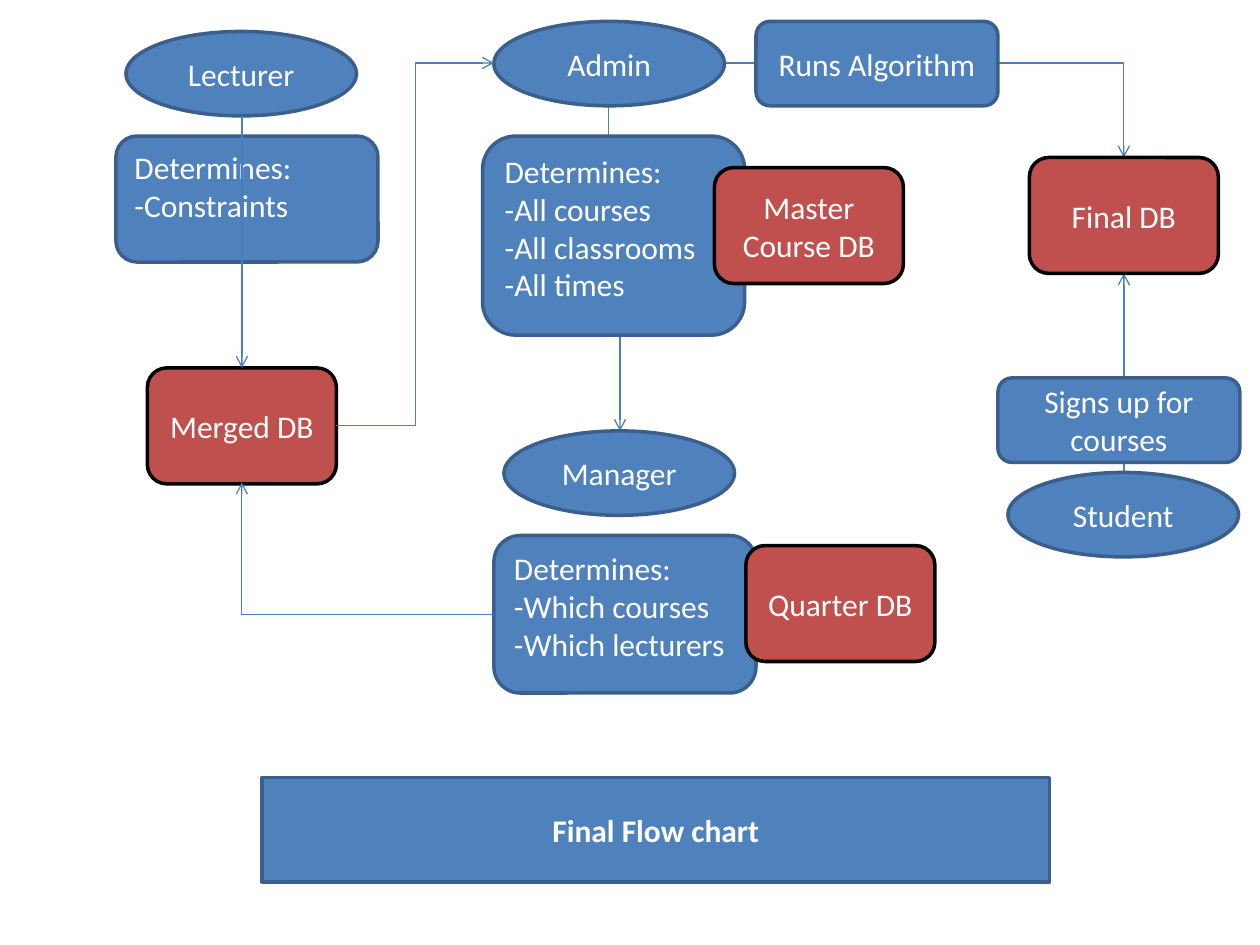
from dataclasses import dataclass

from lxml import etree
from pptx import Presentation
from pptx import util as u
from pptx.dml.color import RGBColor
from pptx.enum import shapes, text
from pptx.oxml.ns import qn


@dataclass(frozen=True)
class Theme:
    font: str = "Calibri"
    text_size: float = 18
    outline: float = 2
    link_width: float = 0.75
    white: str = "FFFFFF"
    blue: str = "4F81BD"
    blue_edge: str = "3A5F8C"
    red: str = "C0504D"
    black: str = "000000"
    link: str = "4B7EBC"


@dataclass(frozen=True)
class Kind:
    geometry: shapes.MSO_SHAPE
    fill: str
    edge: str
    centred: bool = True


@dataclass(frozen=True)
class Node:
    kind: Kind
    left: float
    top: float
    width: float
    height: float
    lines: tuple[str, ...]


@dataclass(frozen=True)
class Link:
    start: tuple[float, float]
    end: tuple[float, float]
    route: str = "straight"


THEME = Theme()
ROUNDED = shapes.MSO_SHAPE.ROUNDED_RECTANGLE
ACTOR = Kind(shapes.MSO_SHAPE.OVAL, THEME.blue, THEME.blue_edge)
TASK = Kind(ROUNDED, THEME.blue, THEME.blue_edge)
DECISION = Kind(ROUNDED, THEME.blue, THEME.blue_edge, centred=False)
DATABASE = Kind(ROUNDED, THEME.red, THEME.black)


def actor(left: float, top: float, name: str) -> Node:
    return Node(ACTOR, left, top, 1.83, 0.67, (name,))


def task(left: float, top: float, name: str) -> Node:
    return Node(TASK, left, top, 1.92, 0.67, (name,))


def decision(left: float, top: float, height: float, *items: str) -> Node:
    lines = ("Determines:", *(f"-{item}" for item in items))
    return Node(DECISION, left, top, 2.08, height, lines)


def database(left: float, top: float, name: str) -> Node:
    return Node(DATABASE, left, top, 1.5, 0.92, (name,))


NODES = [
    actor(3.92, 0.17, "Admin"),
    actor(4, 3.42, "Manager"),
    actor(1, 0.25, "Lecturer"),
    actor(8, 3.75, "Student"),
    decision(3.83, 1.08, 1.58, "All courses", "All classrooms", "All times"),
    decision(3.92, 4.25, 1.25, "Which courses", "Which lecturers"),
    decision(0.92, 1.08, 1, "Constraints"),
    database(1.17, 2.92, "Merged DB"),
    database(5.67, 1.33, "Master Course DB"),
    database(5.92, 4.33, "Quarter DB"),
    database(8.17, 1.25, "Final DB"),
    task(6, 0.17, "Runs Algorithm"),
    task(7.92, 3, "Signs up for courses"),
]

LINKS_BEHIND = [
    Link((4.83, 0.83), (4.92, 3.42), "vertical elbow"),
    Link((5.75, 0.5), (8.92, 1.25), "corner"),
    Link((8.92, 3.75), (8.92, 2.17)),
]
LINKS_IN_FRONT = [
    Link((1.92, 0.92), (1.92, 2.92)),
    Link((3.92, 4.88), (1.92, 3.83), "corner"),
    Link((2.67, 3.38), (3.92, 0.5), "elbow"),
]


def style_box(box, kind: Kind, lines: tuple[str, ...], bold: bool = False) -> None:
    box.fill.solid()
    box.fill.fore_color.rgb = RGBColor.from_string(kind.fill)
    box.line.color.rgb = RGBColor.from_string(kind.edge)
    box.line.width = u.Pt(THEME.outline)
    frame = box.text_frame
    frame.word_wrap = True
    frame.auto_size = text.MSO_AUTO_SIZE.NONE
    anchors = text.MSO_ANCHOR
    frame.vertical_anchor = anchors.MIDDLE if kind.centred else anchors.TOP
    for index, line in enumerate(lines):
        paragraph = frame.add_paragraph() if index else frame.paragraphs[0]
        paragraph.alignment = text.PP_ALIGN.CENTER if kind.centred else text.PP_ALIGN.LEFT
        run = paragraph.add_run()
        run.text = line
        run.font.name = THEME.font
        run.font.size = u.Pt(THEME.text_size)
        run.font.bold = bold
        run.font.color.rgb = RGBColor.from_string(THEME.white)


def draw_node(slide, node: Node) -> None:
    frame = map(u.Inches, (node.left, node.top, node.width, node.height))
    box = slide.shapes.add_shape(node.kind.geometry, *frame)
    box.shadow.inherit = False
    style_box(box, node.kind, node.lines)


def draw_link(slide, link: Link) -> None:
    """Draw an arrow; a vertical elbow is a level one turned about its centre."""
    (x1, y1), (x2, y2) = link.start, link.end
    turned = link.route == "vertical elbow"
    if turned:
        mid_x, mid_y = (x1 + x2) / 2, (y1 + y2) / 2
        half_w, half_h = (x2 - x1) / 2, (y2 - y1) / 2
        x1, x2 = mid_x + half_h, mid_x - half_h
        y1, y2 = mid_y - half_w, mid_y + half_w
    types = shapes.MSO_CONNECTOR
    form = types.STRAIGHT if link.route == "straight" else types.ELBOW
    arrow = slide.shapes.add_connector(form, *map(u.Inches, (x1, y1, x2, y2)))
    arrow.line.color.rgb = RGBColor.from_string(THEME.link)
    arrow.line.width = u.Pt(THEME.link_width)
    properties = arrow._element.spPr
    if turned:
        properties.find(qn("a:xfrm")).set("rot", str(270 * 60000))
    if link.route == "corner":
        properties.find(qn("a:prstGeom")).set("prst", "bentConnector2")
    etree.SubElement(properties.find(qn("a:ln")), qn("a:tailEnd"), type="arrow")
    etree.SubElement(properties, qn("a:effectLst"))


def draw_title(slide) -> None:
    title = slide.shapes.title
    title.left, title.top = u.Inches(2.08), u.Inches(6.17)
    title.width, title.height = u.Inches(6.25), u.Inches(0.83)
    style_box(title, TASK, ("Final Flow chart",), bold=True)


def main() -> None:
    deck = Presentation()
    deck.slide_width, deck.slide_height = u.Inches(10), u.Inches(7.5)
    slide = deck.slides.add_slide(deck.slide_layouts.get_by_name("Title Only"))
    draw_title(slide)
    for link in LINKS_BEHIND:
        draw_link(slide, link)
    for node in NODES:
        draw_node(slide, node)
    for link in LINKS_IN_FRONT:
        draw_link(slide, link)
    deck.save("out.pptx")


if __name__ == "__main__":
    main()
